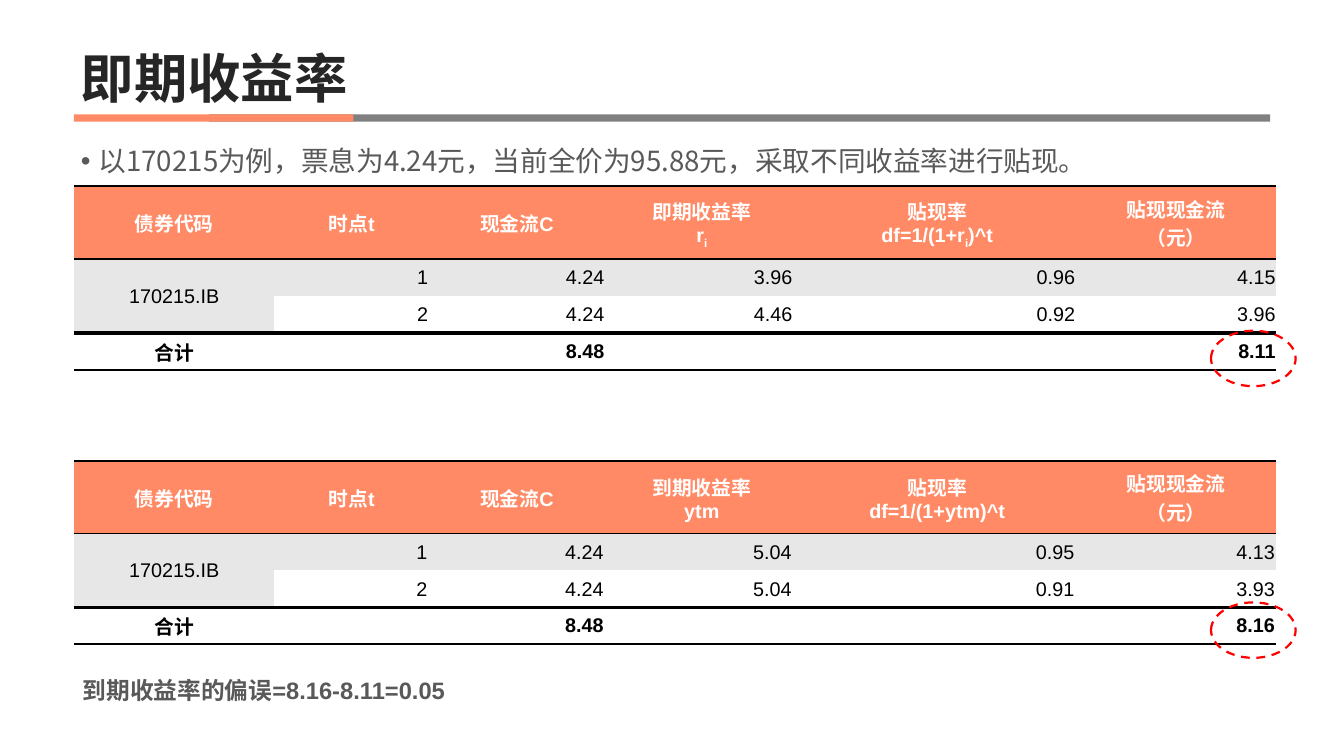
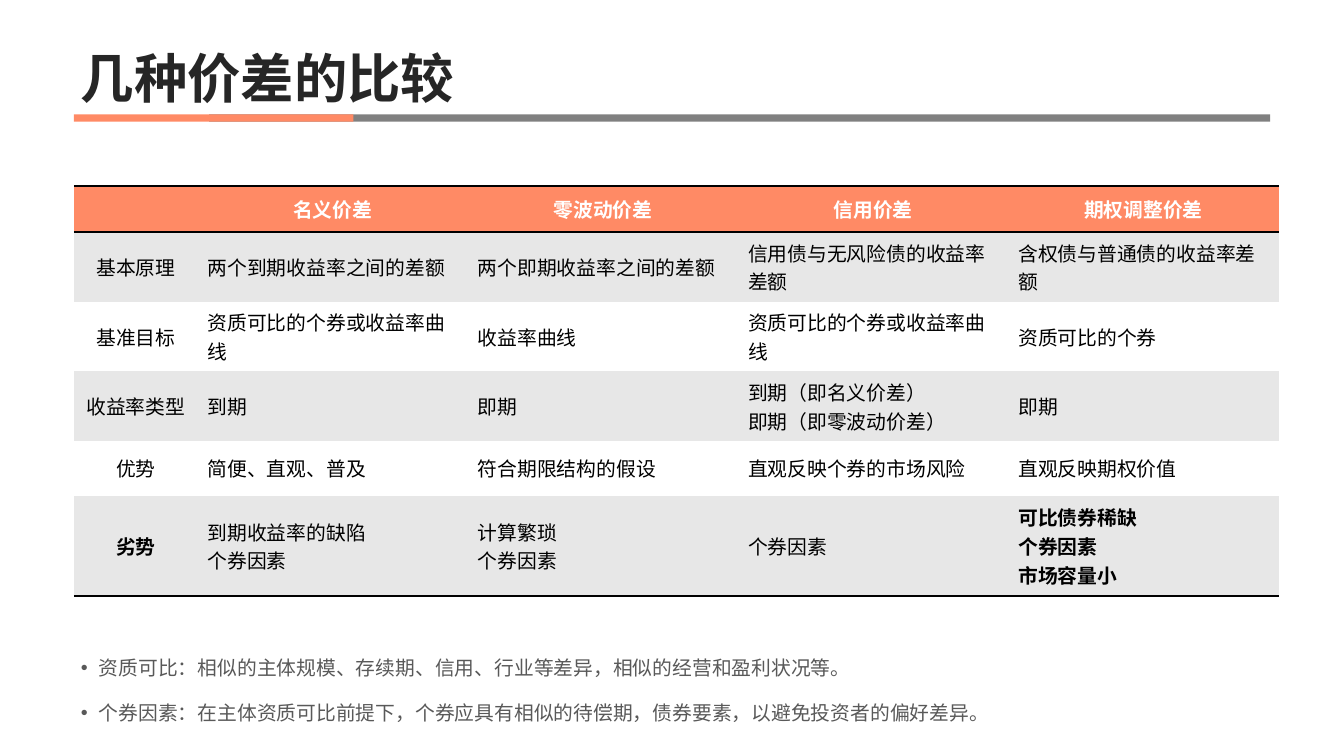
from dataclasses import dataclass

from lxml.etree import SubElement
from pptx import Presentation
from pptx.dml.color import RGBColor
from pptx.enum.dml import MSO_LINE
from pptx.enum.shapes import MSO_SHAPE
from pptx.enum.text import MSO_ANCHOR, PP_ALIGN
from pptx.oxml import parse_xml
from pptx.oxml.ns import nsdecls, qn
from pptx.util import Pt

PX = 9144  # EMU per px, 100 px to the inch
PLAIN_GRID = "{2D5ABB26-0587-4C30-8999-92F81FD0307C}"
LEFT, WIDE = 104, 1691


@dataclass(frozen=True)
class Theme:
    coral: str = "FF8A65"
    gray: str = "808080"
    stripe: str = "E7E7E7"
    white: str = "FFFFFF"
    black: str = "000000"
    ink: str = "262626"
    soft: str = "595959"
    red: str = "FF0000"
    sans: str = "Arial"
    hans: str = "Noto Sans CJK SC"
    title: int = 54
    lead: int = 28
    note: int = 24
    small: int = 20


class Deck:
    def __init__(self, theme):
        self.theme = theme
        self.prs = Presentation()
        self.prs.slide_width = 1890 * PX
        self.prs.slide_height = 1063 * PX
        self.slide = None

    def box(self, *rect):
        return [n * PX for n in rect]

    def page(self, title):
        """Start a slide with its two bands and its title."""
        t = self.theme
        self.slide = self.prs.slides.add_slide(self.prs.slide_layouts[6])
        self.band(294, 1492, t.gray)
        self.band(LEFT, 393, t.coral)
        frame = self.frame(LEFT, 0, WIDE, 159)
        frame.vertical_anchor = MSO_ANCHOR.BOTTOM
        para = frame.paragraphs[0]
        para.line_spacing = 0.9
        self.fill_text(para, title, t.title, t.hans, t.ink, True)

    def band(self, x, w, color):
        bar = self.slide.shapes.add_shape(MSO_SHAPE.RECTANGLE, *self.box(x, 161, w, 10))
        bar.shadow.inherit = False
        bar.fill.solid()
        bar.fill.fore_color.rgb = RGBColor.from_string(color)
        bar.line.fill.background()

    def frame(self, *rect):
        frame = self.slide.shapes.add_textbox(*self.box(*rect)).text_frame
        frame.word_wrap = True
        return frame

    def fill_text(self, para, text, size, face, color, bold=False):
        """Fill a paragraph; text between ~ marks is subscript, \\v breaks a line."""
        for i, part in enumerate(text.split("~")):
            for j, line in enumerate(part.split("\v")):
                if j:
                    para.add_line_break()
                if line:
                    run = para.add_run()
                    run.text = line
                    if i % 2:
                        run.font._rPr.set("baseline", "-25000")
        font = para.font
        font.size, font.name, font.bold = Pt(size), face, bold
        font.color.rgb = RGBColor.from_string(color)
        SubElement(font._rPr, qn("a:ea")).set("typeface", self.theme.hans)

    def points(self, y, h, size, lines):
        t = self.theme
        frame = self.frame(LEFT, y, WIDE, h)
        for i, line in enumerate(lines):
            para = frame.add_paragraph() if i else frame.paragraphs[0]
            props = para._p.get_or_add_pPr()
            props.set("marL", str(25 * PX))
            props.set("indent", str(-25 * PX))
            SubElement(props, qn("a:buFont")).set("typeface", t.sans)
            SubElement(props, qn("a:buChar")).set("char", "•")
            para.line_spacing, para.space_before = 1.5, Pt(10)
            self.fill_text(para, line, size, t.hans, t.soft)

    def note(self, x, y, w, h, text):
        t = self.theme
        para = self.frame(x, y, w, h).paragraphs[0]
        para.alignment = PP_ALIGN.CENTER
        self.fill_text(para, text, t.note, t.sans, t.soft, True)

    def ring(self, y):
        oval = self.slide.shapes.add_shape(MSO_SHAPE.OVAL, *self.box(1703, y, 119, 78))
        oval.shadow.inherit = False
        oval.fill.background()
        oval.line.color.rgb = RGBColor.from_string(self.theme.red)
        oval.line.width = Pt(2.25)
        oval.line.dash_style = MSO_LINE.DASH

    def rule(self, cell, **edges):
        """Draw black edges on a cell, T and B, in points."""
        props = cell._tc.get_or_add_tcPr()
        for spot, (side, width) in enumerate(edges.items()):
            props.insert(spot, parse_xml(
                f'<a:ln{side} {nsdecls("a")} w="{int(Pt(width))}"><a:solidFill>'
                f'<a:srgbClr val="{self.theme.black}"/></a:solidFill></a:ln{side}>'))

    def table(self, y, cols, rows, data, face, pad, align, bold, total=False):
        t = self.theme
        grid = self.slide.shapes.add_table(
            len(rows), len(cols), *self.box(LEFT, y, sum(cols), sum(rows))).table
        grid.first_row = grid.horz_banding = False
        grid._tbl.tblPr.find(qn("a:tableStyleId")).text = PLAIN_GRID
        for col, w in zip(grid.columns, cols):
            col.width = w * PX
        for row, h in zip(grid.rows, rows):
            row.height = h * PX
        last = len(rows) - 1
        for r, line in enumerate(data):
            for c, text in enumerate(line):
                cell = grid.cell(r, c)
                (cell.margin_left, cell.margin_top,
                 cell.margin_right, cell.margin_bottom) = self.box(*pad)
                cell.vertical_anchor = MSO_ANCHOR.MIDDLE
                # Header, striped body and plain total row
                striped = r % 2 and not (total and r == last)
                fill = t.coral if r == 0 else t.stripe if striped else t.white
                cell.fill.solid()
                cell.fill.fore_color.rgb = RGBColor.from_string(fill)
                if r == 0:
                    self.rule(cell, T=2, B=2)
                elif r == last:
                    self.rule(cell, **({"T": 4, "B": 2} if total else {"B": 2}))
                for i, part in enumerate(text.split("\n")):
                    frame = cell.text_frame
                    para = frame.add_paragraph() if i else frame.paragraphs[0]
                    para.alignment = PP_ALIGN.CENTER if r == 0 or c == 0 else align
                    self.fill_text(para, part, t.small, face,
                                   t.white if r == 0 else t.black,
                                   r == 0 or (r, c) in bold)
        return grid

    def bond(self, y, pad, kind, factor, body, total):
        """Cash flow table of one bond."""
        head = ["债券代码", "时点t", "现金流C", kind, f"贴现率\v{factor}", "贴现现金流\n（元）"]
        data = [head,
                ["170215.IB", "1", "4.24", *body[0]],
                ["", "2", "4.24", *body[1]],
                ["合计", "", "8.48", "", "", total]]
        grid = self.table(y, [282, 217, 248, 272, 390, 282], [102, 52, 52, 52], data,
                          self.theme.sans, (pad, 1, pad, 0), PP_ALIGN.RIGHT,
                          {(3, c) for c in range(6)}, total=True)
        grid.cell(1, 0).merge(grid.cell(2, 0))


def main():
    theme = Theme()
    deck = Deck(theme)

    # Spot rate against yield to maturity
    deck.page("即期收益率")
    deck.bond(262, 1, "即期收益率\vr~i~", "df=1/(1+r~i~)^t",
              [["3.96 ", "0.96", "4.15"], ["4.46 ", "0.92", "3.96"]], "8.11")
    deck.bond(648, 2, "到期收益率\vytm", "df=1/(1+ytm)^t",
              [["5.04 ", "0.95", "4.13"], ["5.04 ", "0.91", "3.93"]], "8.16")
    deck.points(174, 78, theme.lead,
                ["以170215为例，票息为4.24元，当前全价为95.88元，采取不同收益率进行贴现。"])
    deck.note(LEFT, 945, 534, 50, "到期收益率的偏误=8.16-8.11=0.05")
    for y in (465, 847):
        deck.ring(y)

    # Kinds of spread
    deck.page("几种价差的比较")
    data = [
        ["", "名义价差", "零波动价差", "信用价差", "期权调整价差"],
        ["基本原理", "两个到期收益率之间的差额", "两个即期收益率之间的差额",
         "信用债与无风险债的收益率差额", "含权债与普通债的收益率差额"],
        ["基准目标", "资质可比的个券或收益率曲线", "收益率曲线",
         "资质可比的个券或收益率曲线", "资质可比的个券"],
        ["收益率类型", "到期", "即期", "到期（即名义价差）\n即期（即零波动价差）", "即期"],
        ["优势", "简便、直观、普及", "符合期限结构的假设",
         "直观反映个券的市场风险", "直观反映期权价值"],
        ["劣势", "到期收益率的缺陷\n个券因素", "计算繁琐\n个券因素", "个券因素",
         "可比债券稀缺\n个券因素\n市场容量小"],
    ]
    deck.table(262, [174] + [380] * 4, [64, 98, 98, 98, 77, 141], data, theme.hans,
               (14, 5, 14, 5), PP_ALIGN.LEFT, {(5, 0), (5, 4)})
    deck.points(900, 146, theme.small, [
        "资质可比：相似的主体规模、存续期、信用、行业等差异，相似的经营和盈利状况等。",
        "个券因素：在主体资质可比前提下，个券应具有相似的待偿期，债券要素，以避免投资者的偏好差异。",
    ])
    deck.prs.save("out.pptx")


if __name__ == "__main__":
    main()
